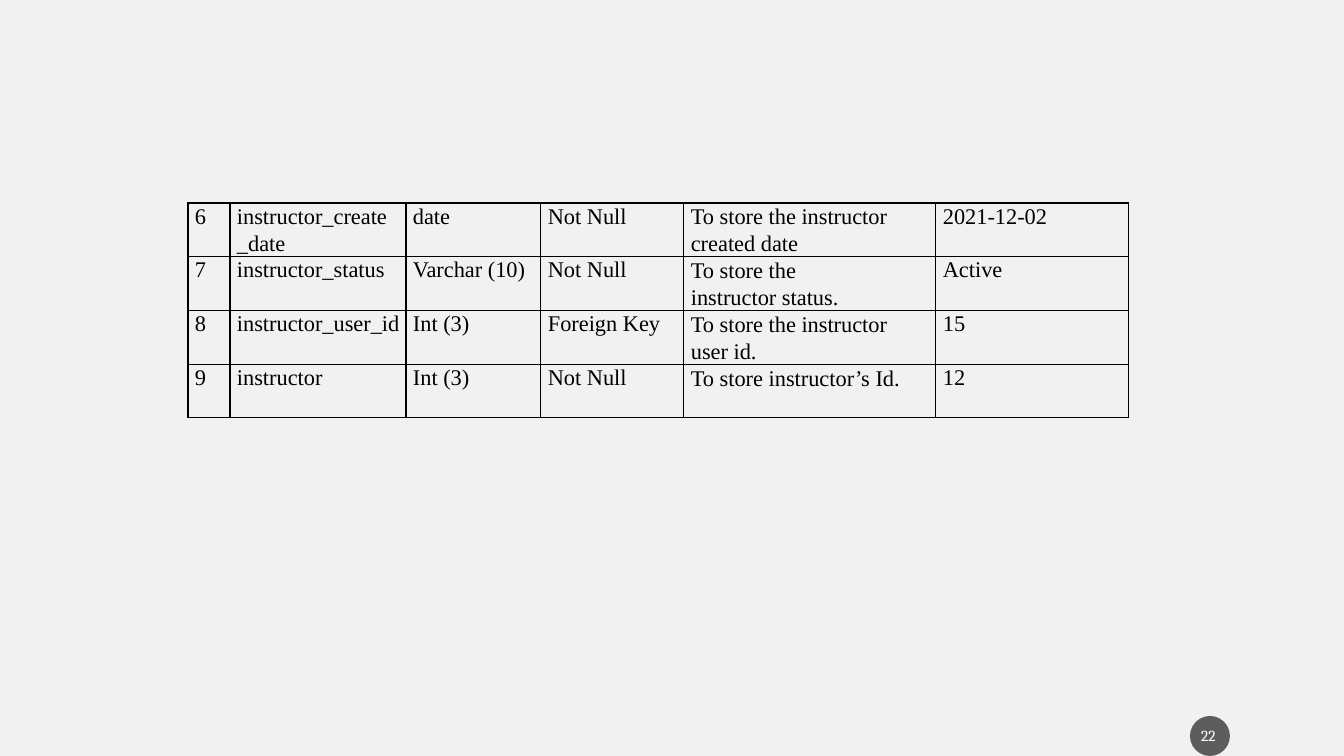
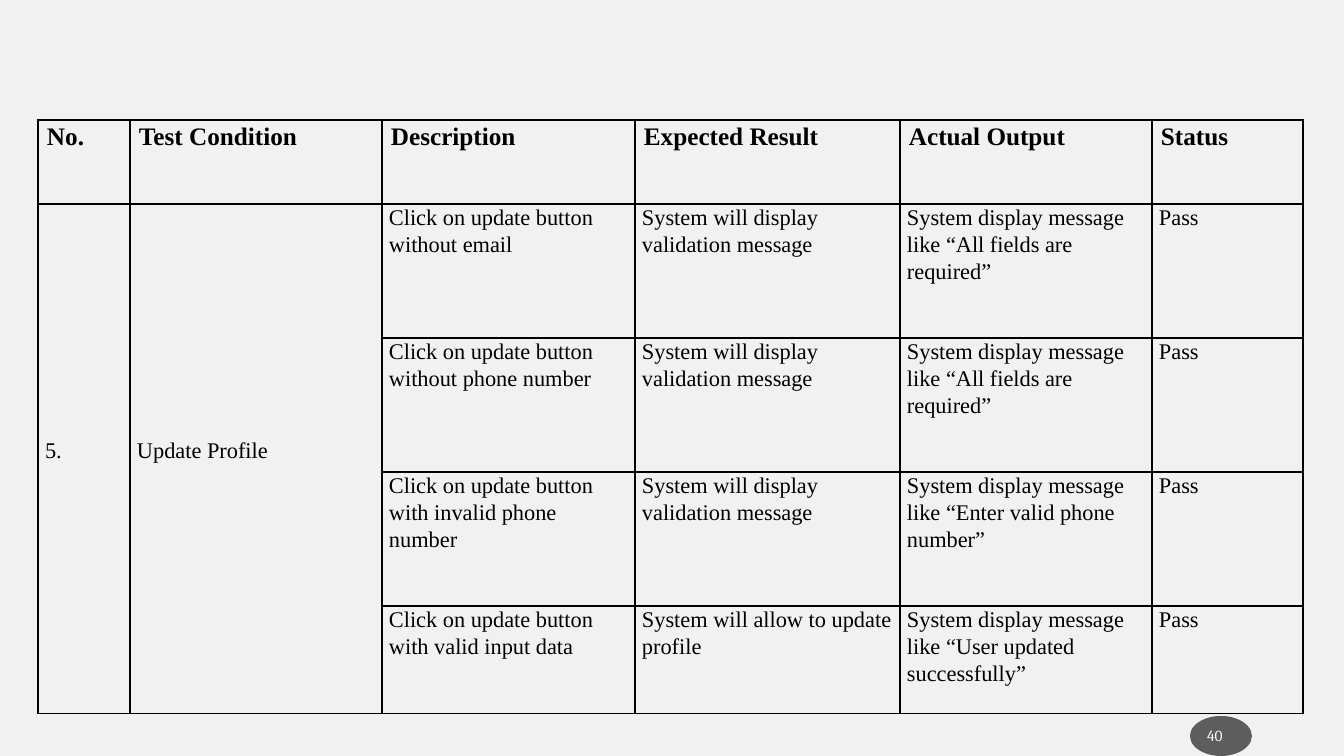
from lxml import etree
from pptx import Presentation, util as u
from pptx.dml.color import RGBColor
from pptx.enum import shapes, text
from pptx.oxml.ns import qn

SCALE = 914400 / 100.8
BACK, INK, BADGE, WHITE = "F1F1F1", "000000", "1C1C1C", "FFFFFF"


def px(n):
    return u.Emu(round(n * SCALE))


def put(para, words, face, size, color, bold=False):
    """Add one formatted run to a paragraph."""
    run = para.add_run()
    run.text = words
    font = run.font
    font.name, font.size, font.bold = face, u.Pt(size), bold
    font.color.rgb = RGBColor.from_string(color)


MSG = "System will display validation message"
FIELDS = "System display message like “All fields are required”"

# "wrap" narrows single cells from the right, keyed by row and column
PAGES = [
    dict(
        num="22", oval=40, inset=4, head=False, at=(188, 203),
        cols=[42, 176, 135, 143, 252, 193], rows=[53] * 4,
        wrap={(0, 1): 17, (1, 4): 60, (2, 4): 30}, merge=[],
        data=[
            ["6", "instructor_create_date", "date", "Not Null",
             "To store the instructor created date", "2021-12-02"],
            ["7", "instructor_status", "Varchar (10)", "Not Null",
             "To store the instructor status.", "Active"],
            ["8", "instructor_user_id", "Int (3)", "Foreign Key",
             "To store the instructor user id.", "15"],
            ["9", "instructor", "Int (3)", "Not Null",
             "To store instructor’s Id.", "12"],
        ],
    ),
    dict(
        num="40", oval=62, inset=10, head=True, at=(38, 120),
        cols=[92, 252, 253, 265, 252, 151], rows=[84, 134, 134, 134, 108],
        wrap={(3, 2): 20}, merge=[0, 1],
        data=[
            ["No.", "Test Condition", "Description", "Expected Result",
             "Actual Output", "Status"],
            ["5.", "Update Profile", "Click on update button without email",
             MSG, FIELDS, "Pass"],
            ["", "", "Click on update button without phone number",
             MSG, FIELDS, "Pass"],
            ["", "", "Click on update button with invalid phone number",
             MSG, "System display message like “Enter valid phone number”", "Pass"],
            ["", "", "Click on update button with valid input data",
             "System will allow to update profile",
             "System display message like “User updated successfully”", "Pass"],
        ],
    ),
]

prs = Presentation()
prs.slide_width, prs.slide_height = px(1344), px(756)
back = prs.slide_master.background.fill
back.solid()
back.fore_color.rgb = RGBColor.from_string(BACK)

for page in PAGES:
    slide = prs.slides.add_slide(prs.slide_layouts[6])

    # Page number badge
    oval = slide.shapes.add_shape(
        shapes.MSO_SHAPE.OVAL, px(1190), px(716), px(page["oval"]), px(40))
    oval.shadow.inherit = False
    oval.line.fill.background()
    oval.fill.solid()
    oval.fill.fore_color.rgb = RGBColor.from_string(BADGE)
    tint = oval.fill._xPr.find(".//" + qn("a:srgbClr"))
    etree.SubElement(tint, qn("a:alpha"), val="69000")

    # Table
    cols, rows = page["cols"], page["rows"]
    left, top = page["at"]
    table = slide.shapes.add_table(
        len(rows), len(cols), px(left), px(top), px(sum(cols)), px(sum(rows))).table
    table.first_row = page["head"]
    table.horz_banding = False
    for col, wide in zip(table.columns, cols):
        col.width = px(wide)
    for row, high in zip(table.rows, rows):
        row.height = px(high)

    for r, line in enumerate(page["data"]):
        head = page["head"] and r == 0
        for c, words in enumerate(line):
            cell = table.cell(r, c)
            cell.fill.background()
            cell.margin_left = px(9 if head else 7)
            cell.margin_top = px(3 if head else 0)
            cell.margin_right = px(page["wrap"].get((r, c), 0))
            cell.margin_bottom = 0
            props = cell._tc.get_or_add_tcPr()
            for i, side in enumerate(("lnL", "lnR", "lnT", "lnB")):
                edge = etree.Element(qn("a:" + side), w="12700")
                fill = etree.SubElement(edge, qn("a:solidFill"))
                etree.SubElement(fill, qn("a:srgbClr"), val=INK)
                props.insert(i, edge)
            if not words:
                continue
            para = cell.text_frame.paragraphs[0]
            if not head:
                para.line_spacing = u.Pt(19.2 if len(words) > 18 else 18.6)
            put(para, words, "Times New Roman", 18 if head else 16, INK, head)

    for c in page["merge"]:
        cell = table.cell(1, c)
        cell.merge(table.cell(len(rows) - 1, c))
        cell.vertical_anchor = text.MSO_ANCHOR.MIDDLE
        cell.margin_bottom = px(18)

    # Page number
    box = slide.shapes.add_textbox(px(1197), px(726), px(44), px(21))
    frame = box.text_frame
    frame.word_wrap = True
    frame.margin_left = px(page["inset"])
    frame.margin_top = frame.margin_right = frame.margin_bottom = 0
    put(frame.paragraphs[0], page["num"], "Cambria", 11, WHITE)

prs.save("out.pptx")
